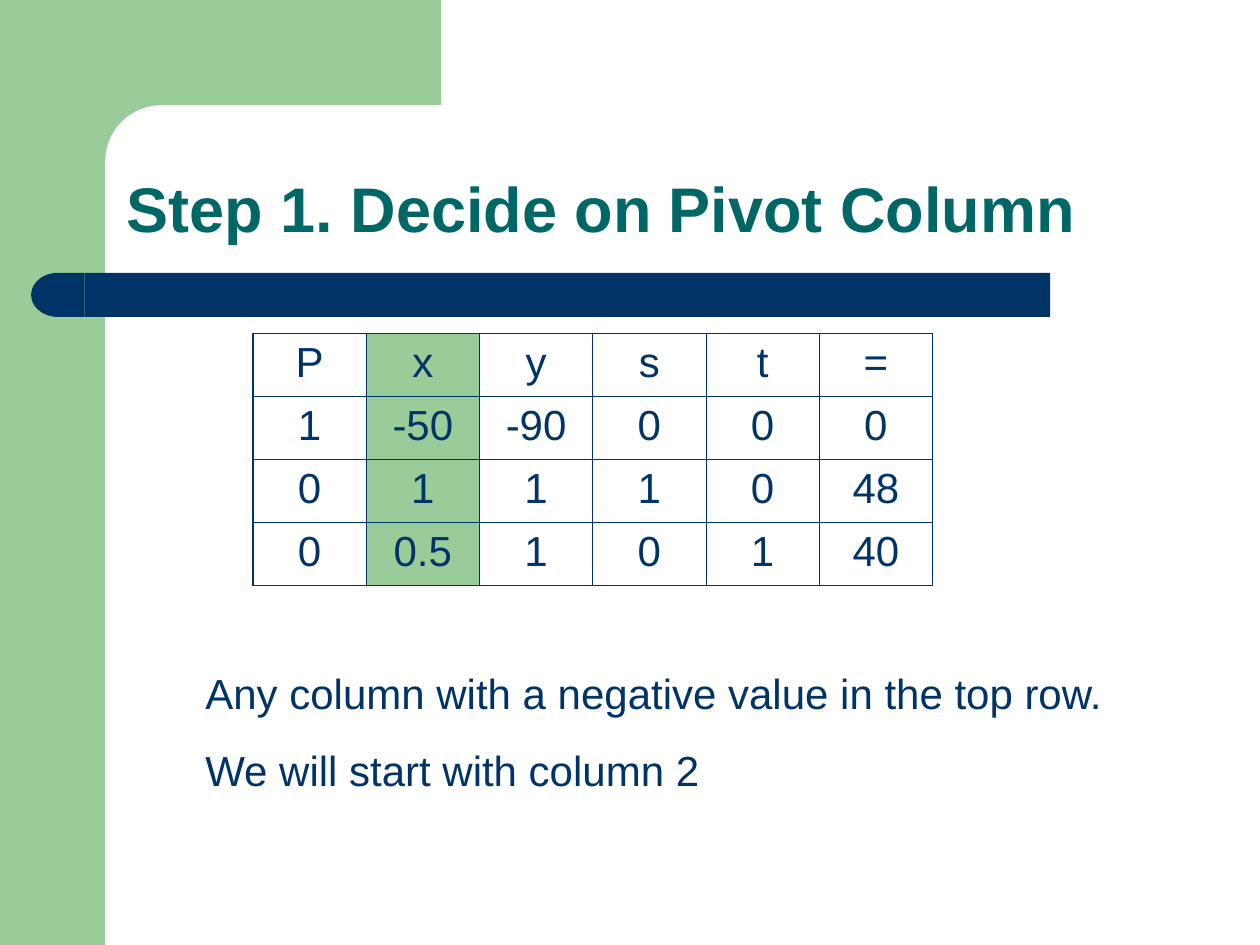
import math

from lxml import etree
from pptx import Presentation
from pptx.dml.color import RGBColor
from pptx.enum import shapes, text
from pptx.oxml import ns
from pptx.util import Cm, Pt

GREEN, NAVY, TEAL = "99CC99", "003366", "006666"
FONT = "Arial"
TABLEAU = [
    ["P", "x", "y", "s", "t", "="],
    ["1", "-50", "-90", "0", "0", "0"],
    ["0", "1", "1", "1", "0", "48"],
    ["0", "0.5", "1", "0", "1", "40"],
]
PIVOT_COLUMN = 1


def color(hex_string):
    return RGBColor.from_string(hex_string)


def paint(shape, hex_string):
    shape.shadow.inherit = False
    shape.fill.solid()
    shape.fill.fore_color.rgb = color(hex_string)
    shape.line.fill.background()


def add_block(slide, kind, left, top, width, height, hex_string):
    shape = slide.shapes.add_shape(kind, Cm(left), Cm(top), Cm(width), Cm(height))
    paint(shape, hex_string)
    return shape


def style(paragraph, size, hex_string, bold=False):
    font = paragraph.font
    font.name, font.size, font.bold = FONT, Pt(size), bold
    font.color.rgb = color(hex_string)


def add_side_band(slide, left, top, width, height):
    add_block(slide, shapes.MSO_SHAPE.RECTANGLE, left, top, width, height, GREEN)


def add_corner(slide, left, top, width, height, inner_left, inner_top):
    """Top band whose inner corner is rounded; inner_left and inner_top are its thicknesses."""
    radius = height - inner_top
    center_x, center_y = left + inner_left + radius, top + height
    angles = [math.radians(90 + 9 * step) for step in range(11)]
    arc = [(center_x + radius * math.cos(a), center_y - radius * math.sin(a)) for a in angles]
    outline = [(left + width, top + inner_top), *arc, (left, top + height), (left, top)]
    builder = slide.shapes.build_freeform(Cm(left + width), Cm(top))
    builder.add_line_segments([(Cm(x), Cm(y)) for x, y in outline], close=True)
    paint(builder.convert_to_shape(), GREEN)


def add_title_bar(slide, left, top, width, height):
    cap = 1.08
    bar = add_block(slide, shapes.MSO_SHAPE.ROUNDED_RECTANGLE,
                    left + cap, top, width - cap, height, NAVY)
    bar.adjustments[0] = 0
    end = add_block(slide, shapes.MSO_SHAPE.FLOWCHART_DELAY, left, top, cap, height, NAVY)
    end._element.spPr.xfrm.set("flipH", "1")


def add_text(slide, left, top, width, height, lines, anchor):
    box = slide.shapes.add_textbox(Cm(left), Cm(top), Cm(width), Cm(height))
    frame = box.text_frame
    frame.word_wrap = True
    frame.vertical_anchor = anchor
    frame.text = "\n".join(lines)
    return frame.paragraphs


def add_title(slide, left, top, width, height):
    [paragraph] = add_text(slide, left, top, width, height,
                           ["Step 1. Decide on Pivot Column"], text.MSO_ANCHOR.BOTTOM)
    paragraph.line_spacing = 0.9
    style(paragraph, 36, TEAL, bold=True)


def add_explanation(slide, left, top, width, height):
    lines = ["Any column with a negative value in the top row.", "We will start with column 2"]
    paragraphs = add_text(slide, left, top, width, height, lines, text.MSO_ANCHOR.TOP)
    for paragraph in paragraphs:
        style(paragraph, 24, NAVY)
    paragraphs[1].space_before = Pt(15)


def set_borders(cell, outer_sides):
    properties = cell._tc.get_or_add_tcPr()
    for side in "LRTB":
        points = 1.08 if side in outer_sides else 0.45
        line = etree.SubElement(properties, ns.qn(f"a:ln{side}"), w=str(Pt(points)))
        fill = etree.SubElement(line, ns.qn("a:solidFill"))
        etree.SubElement(fill, ns.qn("a:srgbClr"), val=NAVY)


def add_tableau(slide, left, top, width, height):
    row_count, column_count = len(TABLEAU), len(TABLEAU[0])
    table = slide.shapes.add_table(row_count, column_count, Cm(left), Cm(top),
                                   Cm(width), Cm(height)).table
    table.first_row = table.horz_banding = False
    for r, values in enumerate(TABLEAU):
        for c, value in enumerate(values):
            cell = table.cell(r, c)
            edges = {"L": c == 0, "R": c == column_count - 1,
                     "T": r == 0, "B": r == row_count - 1}
            set_borders(cell, [side for side, outer in edges.items() if outer])
            if c == PIVOT_COLUMN:
                cell.fill.solid()
                cell.fill.fore_color.rgb = color(GREEN)
            else:
                cell.fill.background()
            cell.text = value
            paragraph = cell.text_frame.paragraphs[0]
            paragraph.alignment = text.PP_ALIGN.CENTER
            style(paragraph, 24, NAVY)


def main():
    presentation = Presentation()
    presentation.slide_width, presentation.slide_height = Cm(25.4), Cm(19.05)
    slide = presentation.slides.add_slide(presentation.slide_layouts[6])
    add_side_band(slide, 0, 0, 2.12, 19.05)
    add_corner(slide, 1.27, 0, 7.62, 3.25, inner_left=0.85, inner_top=2.12)
    add_title_bar(slide, 0.63, 5.5, 20.54, 0.89)
    add_title(slide, 2.31, 2.31, 21.62, 2.77)
    add_tableau(slide, 5.1, 6.72, 13.7, 5.07)
    add_explanation(slide, 3.89, 13.33, 18.8, 2.82)
    presentation.save("out.pptx")


if __name__ == "__main__":
    main()
